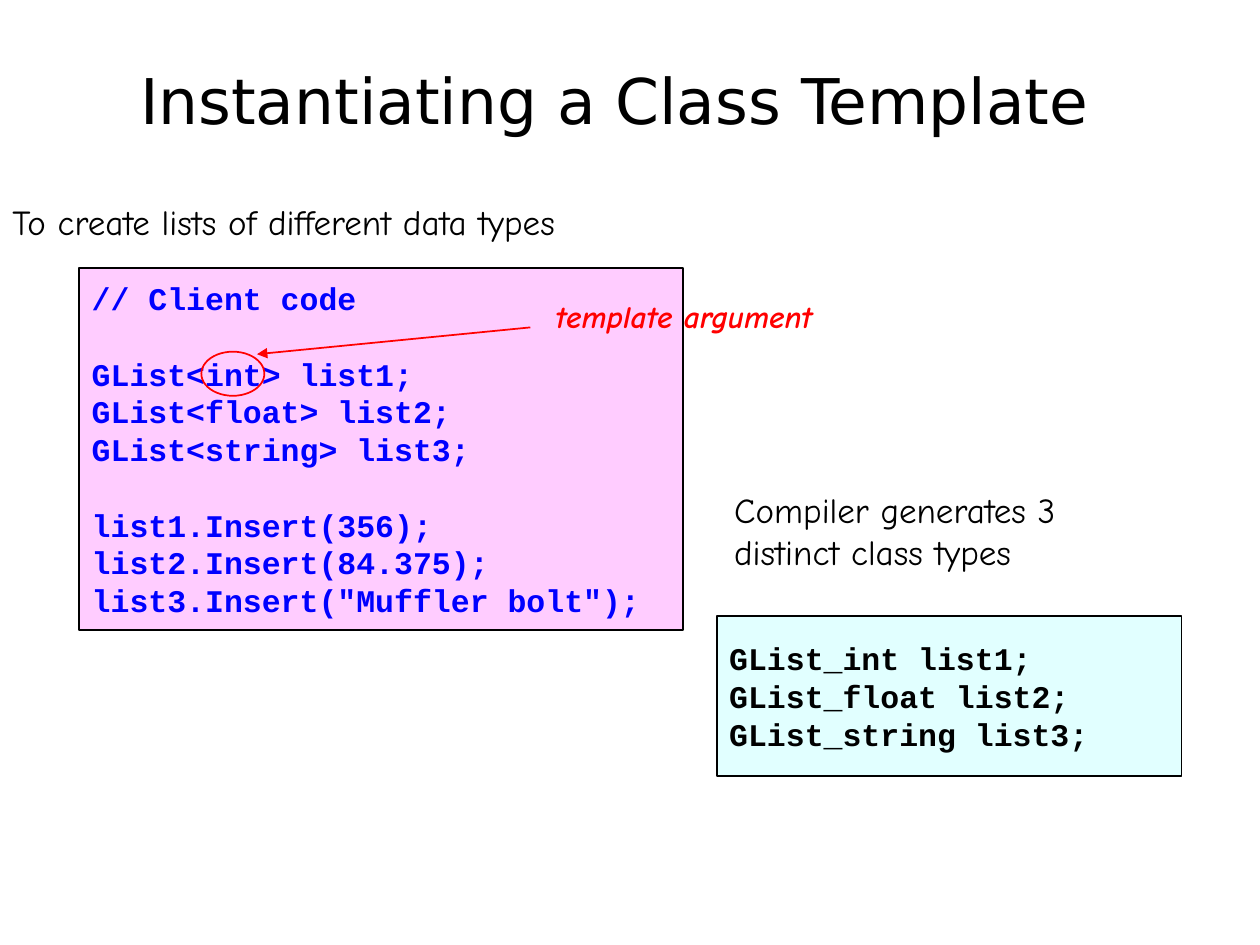
from lxml.etree import SubElement
from pptx import Presentation
from pptx.dml.color import RGBColor
from pptx.enum.shapes import MSO_CONNECTOR, MSO_SHAPE
from pptx.enum.text import MSO_ANCHOR, MSO_AUTO_SIZE, PP_ALIGN
from pptx.oxml.ns import qn
from pptx.util import Cm, Pt

HEADING = "Instantiating a Class Template "
BLACK, RED, BLUE = "000000", "FF0000", "0000FF"
CODE_LINE = 21.5

CODE_PANELS = [
    ((1.6, 5.41, 12.17, 7.29), "FFCCFF", BLUE, [
        ["// Client code"],
        ["GList<int> list1;", "GList<float> list2;", "GList<string> list3;"],
        ["list1.Insert(356);", "list2.Insert(84.375);", 'list3.Insert("Muffler bolt");'],
    ]),
    ((14.45, 12.42, 9.37, 3.23), "E1FFFF", BLACK, [
        ["GList_int list1;", "GList_float list2;", "GList_string list3;"],
    ]),
]
ARGUMENT_RING = (4.06, 7.09, 1.27, 0.89)
ARGUMENT_ARROW = (10.69, 6.6, 5.18, 7.14)
NOTES = [
    ((0, 3.91, 16.76, 1.12), "To create lists of different data types", 20, BLACK, False),
    ((10.95, 5.87, 5.72, 1.02), "template argument", 18, RED, True),
    ((14.55, 9.73, 9.25, 1.96), "Compiler generates 3 distinct class types", 20, BLACK, False),
]


def cm(lengths):
    return [Cm(length) for length in lengths]


def color(hex_value):
    return RGBColor.from_string(hex_value)


def style(paragraph, name, size, hex_value, bold=False, italic=False):
    font = paragraph.font
    font.name, font.size = name, Pt(size)
    font.bold, font.italic = bold, italic
    font.color.rgb = color(hex_value)


def outline(part, hex_value):
    part.line.color.rgb = color(hex_value)
    part.line.width = Pt(1)


def add_outlined(slide, kind, box, line_color):
    part = slide.shapes.add_shape(kind, *cm(box))
    part.shadow.inherit = False
    outline(part, line_color)
    return part


def add_code_panel(slide, box, fill, text_color, groups):
    panel = add_outlined(slide, MSO_SHAPE.RECTANGLE, box, BLACK)
    panel.fill.solid()
    panel.fill.fore_color.rgb = color(fill)
    frame = panel.text_frame
    frame.word_wrap = True
    frame.vertical_anchor = MSO_ANCHOR.MIDDLE
    lines = [(line, group > 0 and index == 0)
             for group, code in enumerate(groups) for index, line in enumerate(code)]
    for number, (line, starts_group) in enumerate(lines):
        paragraph = frame.add_paragraph() if number else frame.paragraphs[0]
        paragraph.text = line
        paragraph.alignment = PP_ALIGN.LEFT
        if starts_group:
            paragraph.space_before = Pt(CODE_LINE)
        style(paragraph, "Courier New", 18, text_color, bold=True)


def add_note(slide, box, text, size, text_color, emphasis):
    frame = slide.shapes.add_textbox(*cm(box)).text_frame
    frame.word_wrap = not emphasis
    frame.auto_size = MSO_AUTO_SIZE.SHAPE_TO_FIT_TEXT
    frame.text = text
    style(frame.paragraphs[0], "Comic Neue", size, text_color, emphasis, emphasis)


def add_arrow(slide, ends):
    arrow = slide.shapes.add_connector(MSO_CONNECTOR.STRAIGHT, *cm(ends))
    outline(arrow, RED)
    SubElement(arrow.line._get_or_add_ln(), qn("a:tailEnd"), type="triangle")
    SubElement(arrow._element.spPr, qn("a:effectLst"))


def main():
    deck = Presentation()
    deck.slide_width, deck.slide_height = cm((25.4, 19.05))
    slide = deck.slides.add_slide(deck.slide_layouts[5])

    title = slide.shapes.title
    title.left, title.top, title.width, title.height = cm((1.7, 0.41, 21.79, 3.18))
    title.text_frame.text = HEADING
    title.text_frame.vertical_anchor = MSO_ANCHOR.MIDDLE
    heading = title.text_frame.paragraphs[0]
    heading.alignment = PP_ALIGN.CENTER
    style(heading, "DejaVu Sans", 36, BLACK)

    for panel in CODE_PANELS:
        add_code_panel(slide, *panel)
    add_outlined(slide, MSO_SHAPE.OVAL, ARGUMENT_RING, RED).fill.background()
    add_arrow(slide, ARGUMENT_ARROW)
    for note in NOTES:
        add_note(slide, *note)

    deck.save("out.pptx")


if __name__ == "__main__":
    main()
